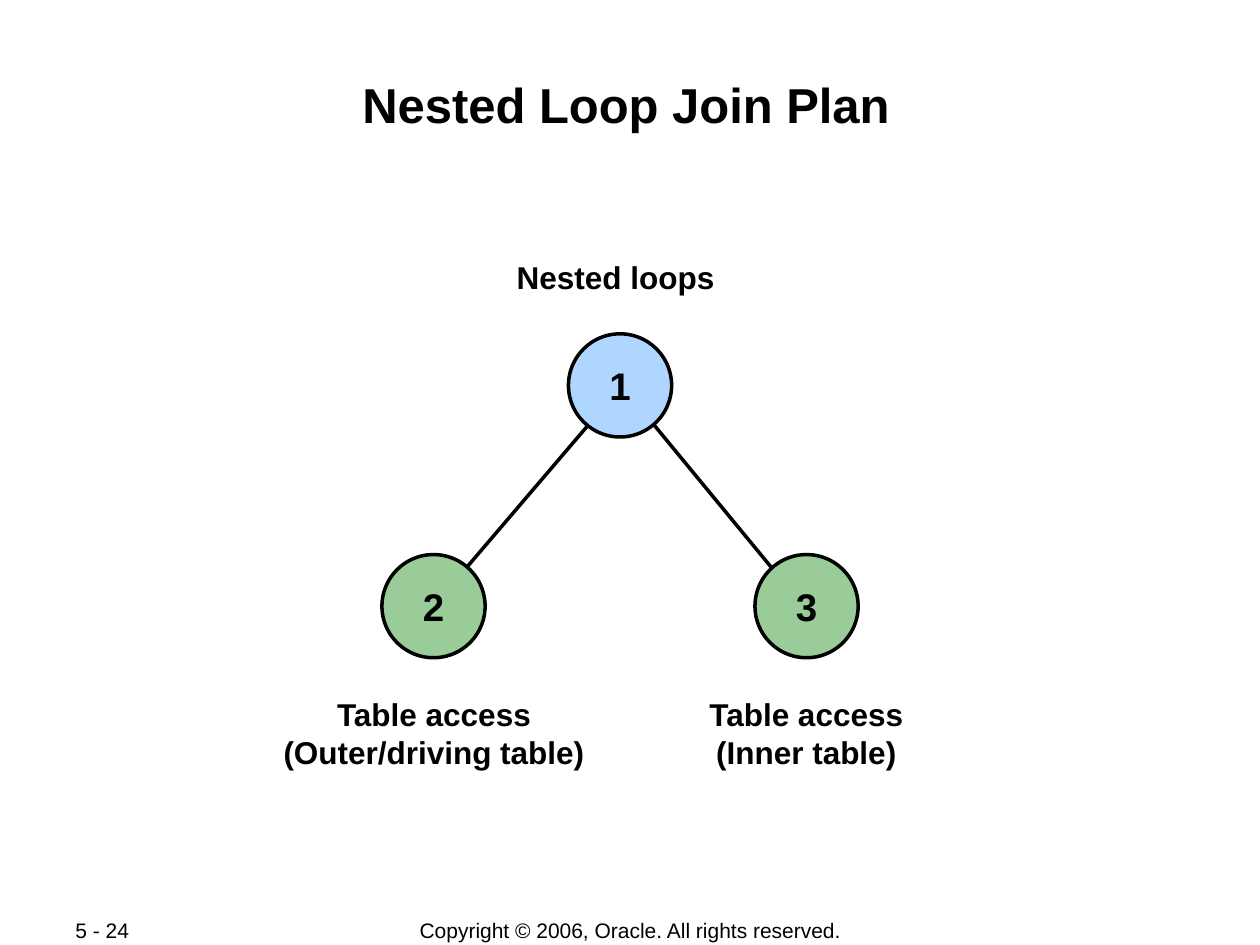
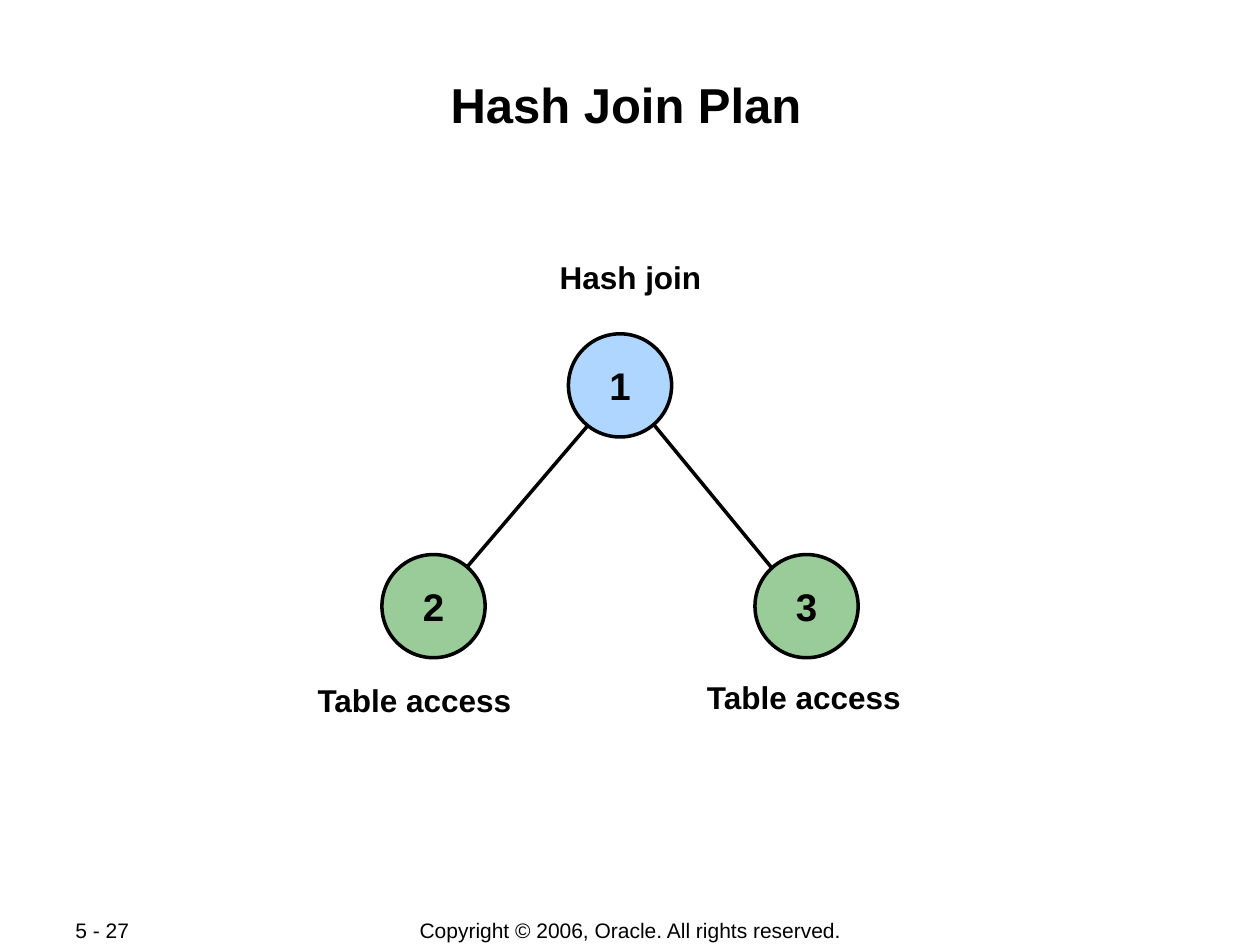
from dataclasses import dataclass

from lxml.etree import SubElement
from pptx import Presentation
from pptx.dml.color import RGBColor
from pptx.enum.shapes import MSO_CONNECTOR, MSO_SHAPE
from pptx.enum.text import MSO_ANCHOR, MSO_AUTO_SIZE, PP_ALIGN
from pptx.oxml.ns import qn
from pptx.shapes.group import GroupShape
from pptx.slide import Slide
from pptx.text.text import TextFrame
from pptx.util import Cm, Pt

# Shared style, lengths in centimetres
FONT = "Arial"
BLACK = "000000"
JOIN_BLUE = "AED6FF"
TABLE_GREEN = "99CC99"
LINE_WIDTH = Pt(2)
NODE_SIZE = 2.08
FOOTER_TOP = 18.49
FOOTER_HEIGHT = 0.52
COPYRIGHT = "Copyright © 2006, Oracle. All rights reserved."


@dataclass(frozen=True)
class Node:
    number: str
    center_x: float
    center_y: float
    fill: str


@dataclass(frozen=True)
class Branch:
    start: tuple[float, float]
    end: tuple[float, float]


@dataclass(frozen=True)
class Label:
    lines: tuple[str, ...]
    left: float
    top: float
    width: float


@dataclass(frozen=True)
class JoinPlan:
    title: str
    page: str
    labels: tuple[Label, ...]


NODES = (
    Node("1", 12.5, 7.77, JOIN_BLUE),
    Node("2", 8.74, 12.22, TABLE_GREEN),
    Node("3", 16.26, 12.22, TABLE_GREEN),
)
BRANCHES = (
    Branch((12.6, 7.7), (8.74, 12.22)),
    Branch((12.57, 7.82), (16.21, 12.24)),
)
PLANS = (
    JoinPlan("Nested Loop Join Plan", "5 - 24", (
        Label(("Nested loops",), 10.16, 5.08, 4.5),
        Label(("Table access", "(Outer/driving table)"), 5.46, 13.89, 6.58),
        Label(("Table access", "(Inner table)"), 14.02, 13.89, 4.47),
    )),
    JoinPlan("Hash Join Plan", "5 - 27", (
        Label(("Hash join",), 11.02, 5.08, 3.38),
        Label(("Table access",), 6.12, 13.61, 4.47),
        Label(("Table access",), 13.97, 13.54, 4.47),
    )),
)


def color(value: str) -> RGBColor:
    return RGBColor.from_string(value)


def write(frame: TextFrame, lines: tuple[str, ...], size: float, bold: bool = True,
          alignment: PP_ALIGN = PP_ALIGN.CENTER) -> None:
    for index, line in enumerate(lines):
        paragraph = frame.add_paragraph() if index else frame.paragraphs[0]
        paragraph.alignment = alignment
        paragraph.space_before = Pt(0)
        run = paragraph.add_run()
        run.text = line
        run.font.name = FONT
        run.font.size = Pt(size)
        run.font.bold = bold
        run.font.color.rgb = color(BLACK)


def add_title(slide: Slide, text: str) -> None:
    title = slide.shapes.title
    title.left, title.top, title.width, title.height = map(Cm, (2.46, 1.47, 20.32, 2.44))
    frame = title.text_frame
    frame.margin_left = frame.margin_right = Cm(0.03)
    frame.margin_top = frame.margin_bottom = Cm(0.03)
    frame.vertical_anchor = MSO_ANCHOR.TOP
    frame.auto_size = MSO_AUTO_SIZE.NONE
    write(frame, (text,), 28)


def add_footer(slide: Slide, text: str, left: float, width: float,
               alignment: PP_ALIGN) -> None:
    box = slide.shapes.add_textbox(Cm(left), Cm(FOOTER_TOP), Cm(width), Cm(FOOTER_HEIGHT))
    frame = box.text_frame
    frame.word_wrap = True
    frame.vertical_anchor = MSO_ANCHOR.MIDDLE
    write(frame, (text,), 12, False, alignment)


def add_label(slide: Slide, label: Label) -> None:
    height = 0.26 + 0.76 * len(label.lines)
    box = slide.shapes.add_textbox(Cm(label.left), Cm(label.top), Cm(label.width), Cm(height))
    box.text_frame.word_wrap = False
    box.text_frame.auto_size = MSO_AUTO_SIZE.SHAPE_TO_FIT_TEXT
    write(box.text_frame, label.lines, 18)


def add_branch(tree: GroupShape, branch: Branch) -> None:
    connector = tree.shapes.add_connector(
        MSO_CONNECTOR.STRAIGHT, *map(Cm, branch.start + branch.end))
    connector.line.color.rgb = color(BLACK)
    connector.line.width = LINE_WIDTH
    SubElement(connector._element.spPr, qn("a:effectLst"))


def add_node(tree: GroupShape, node: Node) -> None:
    shape = tree.shapes.add_shape(
        MSO_SHAPE.OVAL, Cm(node.center_x - NODE_SIZE / 2), Cm(node.center_y - NODE_SIZE / 2),
        Cm(NODE_SIZE), Cm(NODE_SIZE))
    shape.shadow.inherit = False
    shape.fill.solid()
    shape.fill.fore_color.rgb = color(node.fill)
    shape.line.color.rgb = color(BLACK)
    shape.line.width = LINE_WIDTH
    shape.text_frame.word_wrap = False
    shape.text_frame.vertical_anchor = MSO_ANCHOR.MIDDLE
    write(shape.text_frame, (node.number,), 22)


def add_plan(presentation: Presentation, plan: JoinPlan) -> None:
    slide = presentation.slides.add_slide(presentation.slide_layouts.get_by_name("Title Only"))
    add_title(slide, plan.title)
    add_footer(slide, plan.page, 1.27, 2.69, PP_ALIGN.LEFT)
    add_footer(slide, COPYRIGHT, 7.01, 11.4, PP_ALIGN.CENTER)
    for label in plan.labels:
        add_label(slide, label)
    # Plan tree: branches run behind the nodes
    tree = slide.shapes.add_group_shape()
    for branch in BRANCHES:
        add_branch(tree, branch)
    for node in NODES:
        add_node(tree, node)


def main() -> None:
    presentation = Presentation()
    presentation.slide_width = Cm(25.4)
    presentation.slide_height = Cm(19.05)
    for plan in PLANS:
        add_plan(presentation, plan)
    presentation.save("out.pptx")


if __name__ == "__main__":
    main()
